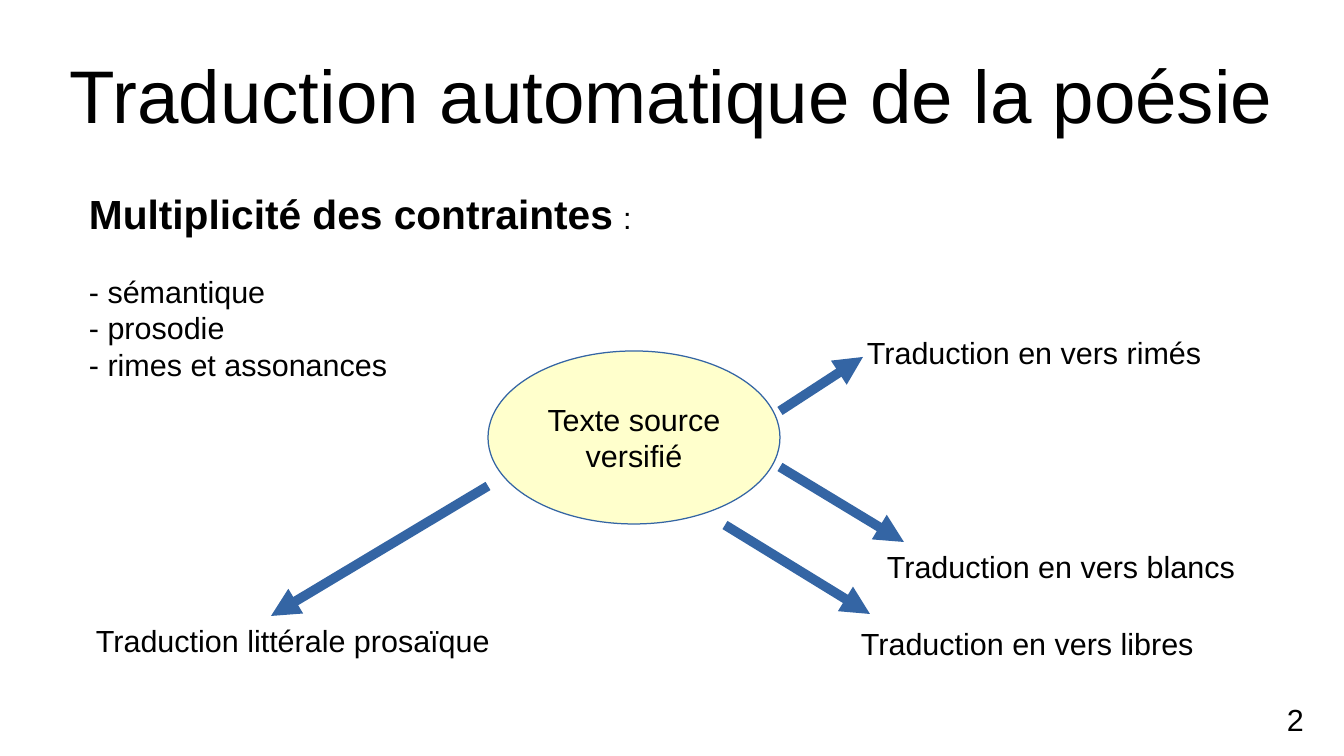
from lxml.etree import SubElement
from pptx import Presentation
from pptx.dml.color import RGBColor
from pptx.enum.shapes import MSO_CONNECTOR as CONN, MSO_SHAPE as SHAPE
from pptx.enum.text import MSO_ANCHOR as ANCHOR, PP_ALIGN as ALIGN
from pptx.oxml.ns import qn
from pptx.util import Emu, Pt

# Content: boxes are left, top, width, height in px
WIDTH, HEIGHT = 1344, 756
FONT = "Arial"
COLORS = {"text": "000000", "source": "FFFFCC", "blue": "3465A4"}

TITLE = ("Traduction automatique de la poésie", (67, 30, 1210, 127))
PAGE_NUMBER = ("2", (1275, 695, 50, 46))
HEADING = [("Multiplicité des contraintes", 24, True), ("\u00a0", 21, False), (":", 18, False)]
CONSTRAINTS = ["- sémantique", "- prosodie", "- rimes et assonances"]
CONSTRAINTS_BOX = (77, 183, 1247, 194)
SOURCE = (["Texte source", "versifié"], (488, 351, 292, 173))
TRANSLATIONS = [  # label, box, arrow start, arrow end
    ("Traduction en vers rimés", (855, 328, 403, 60), (780, 411), (863, 357)),
    ("Traduction en vers libres", (849, 619, 437, 60), (725, 525), (870, 614)),
    ("Traduction en vers blancs", (875, 542, 437, 60), (780, 467), (904, 542)),
    ("Traduction littérale prosaïque", (84, 616, 437, 60), (488, 486), (271, 616)),
]


def px(*values):
    return [Emu(round(v * 914400 / 122)) for v in values]


def color(name):
    return RGBColor.from_string(COLORS[name])


def style(font, size, bold=False):
    font.name, font.size, font.bold = FONT, Pt(size), bold
    font.color.rgb = color("text")


def write(tf, lines, size=18, align=ALIGN.LEFT):
    tf.word_wrap = True
    for i, line in enumerate(lines):
        p = tf.add_paragraph() if i else tf.paragraphs[0]
        p.text, p.alignment = line, align
        style(p.font, size)


def add_text(s, box, lines, **options):
    tf = s.shapes.add_textbox(*px(*box)).text_frame
    write(tf, lines, **options)
    return tf


def add_arrow(s, start, end):
    line = s.shapes.add_connector(CONN.STRAIGHT, *px(*start, *end))
    line.line.color.rgb = color("blue")
    line.line.width = Pt(5.67)
    SubElement(line.line._get_or_add_ln(), qn("a:tailEnd"), type="triangle")
    SubElement(line._element.spPr, qn("a:effectLst"))


prs = Presentation()
prs.slide_width, prs.slide_height = px(WIDTH, HEIGHT)
s = prs.slides.add_slide(prs.slide_layouts[6])

# Title and page number
title, box = TITLE
tf = add_text(s, box, [title], size=44, align=ALIGN.CENTER)
tf.vertical_anchor = ANCHOR.MIDDLE
tf.margin_left = tf.margin_right = tf.margin_top = tf.margin_bottom = 0
number, box = PAGE_NUMBER
add_text(s, box, [number])

# Constraints under their heading
tf = add_text(s, CONSTRAINTS_BOX, ["", *CONSTRAINTS])
for text, size, bold in HEADING:
    r = tf.paragraphs[0].add_run()
    r.text = text
    style(r.font, size, bold)
tf.paragraphs[1].space_before = Pt(20.7)

# Source text
lines, box = SOURCE
sp = s.shapes.add_shape(SHAPE.OVAL, *px(*box))
sp.shadow.inherit = False
sp.fill.solid()
sp.fill.fore_color.rgb = color("source")
sp.line.color.rgb = color("blue")
sp.line.width = Pt(0)
sp.text_frame.vertical_anchor = ANCHOR.MIDDLE
write(sp.text_frame, lines, align=ALIGN.CENTER)

# Translations and the arrows leading to them
for label, box, start, end in TRANSLATIONS:
    add_text(s, box, [label])
    add_arrow(s, start, end)

prs.save("out.pptx")
